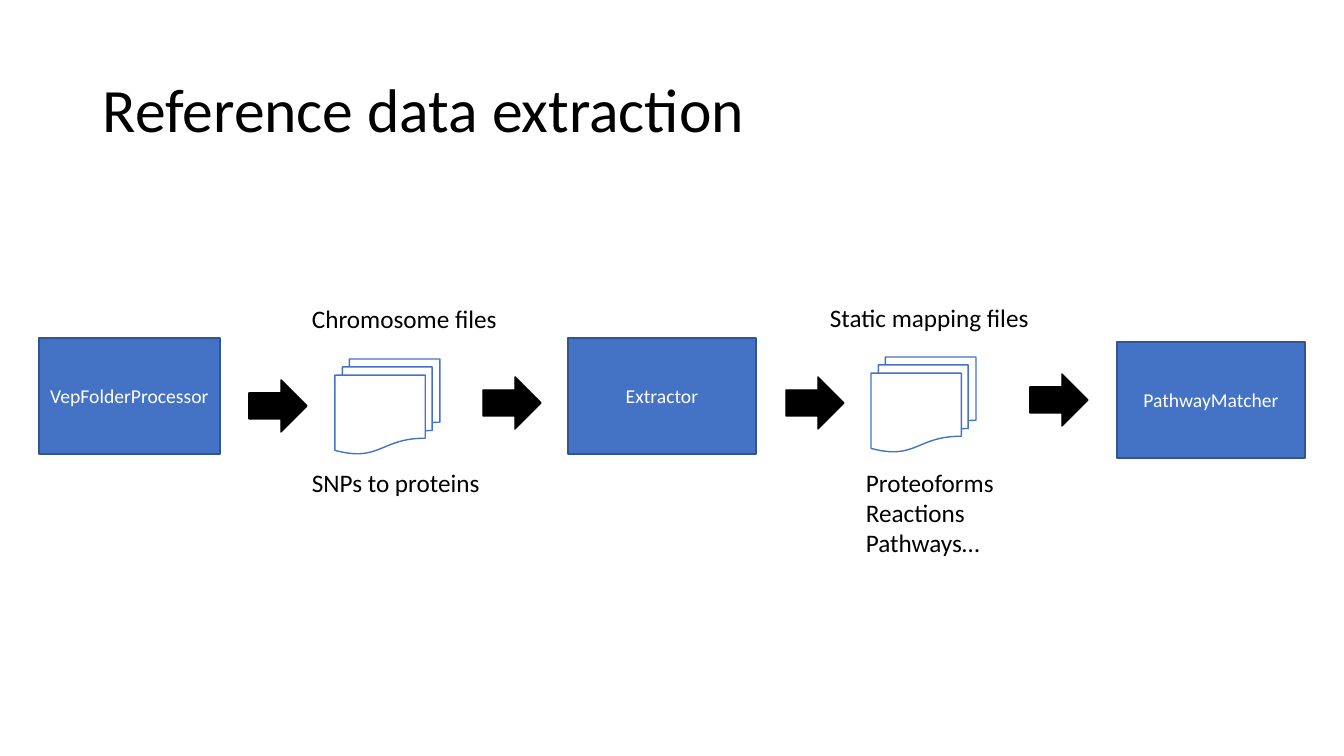
"""Build the reference data extraction pipeline slide."""
from pptx import Presentation
from pptx.dml.color import RGBColor
from pptx.enum.shapes import MSO_SHAPE as Shape
from pptx.enum.text import MSO_ANCHOR as Anchor, MSO_AUTO_SIZE as AutoSize, PP_ALIGN as Align
from pptx.util import Emu, Pt

BLACK = RGBColor(0x00, 0x00, 0x00)
WHITE = RGBColor(0xFF, 0xFF, 0xFF)
BLUE = RGBColor(0x44, 0x72, 0xC4)
DARK_BLUE = RGBColor(0x32, 0x54, 0x91)

TITLE = ("Reference data extraction", (93, 40, 1159, 146))
PROCESSES = [
    ("VepFolderProcessor", 39, 338, 181),
    ("Extractor", 568, 338, 188),
    ("PathwayMatcher", 1117, 342, 188),
]
FILE_STACKS = [(335, 359), (871, 357)]
ARROWS = [(249, 380), (483, 377), (786, 377), (1030, 374)]
LABELS = [
    (["Chromosome files"], (302, 298, 208, 40)),
    (["SNPs to proteins"], (302, 462, 190, 40)),
    (["Static mapping files"], (820, 297, 222, 40)),
    (["Proteoforms", "Reactions", "Pathways…"], (856, 462, 149, 102)),
]

PROCESS_HEIGHT = 116
STACK_SIZE = (105, 95)
ARROW_SIZE = (58, 52)
EMU_PER_PIXEL = 914400 / 100.8

LABEL_FRAME = {"word_wrap": False, "auto_size": AutoSize.SHAPE_TO_FIT_TEXT}
TITLE_FRAME = {"word_wrap": True, "vertical_anchor": Anchor.MIDDLE}
PROCESS_FRAME = {"word_wrap": True, "vertical_anchor": Anchor.MIDDLE}


def scale(pixels):
    return [Emu(round(value * EMU_PER_PIXEL)) for value in pixels]


def write(shape, lines, size, color, frame_format, paragraph_format):
    frame = shape.text_frame
    frame.text = "\n".join(lines)
    for name, value in frame_format.items():
        setattr(frame, name, value)
    for paragraph in frame.paragraphs:
        for name, value in paragraph_format.items():
            setattr(paragraph, name, value)
        for run in paragraph.runs:
            run.font.name = "Calibri"
            run.font.size = Pt(size)
            run.font.color.rgb = color


def add_filled(slide, kind, box, fill, line):
    shape = slide.shapes.add_shape(kind, *scale(box))
    shape.shadow.inherit = False
    shape.fill.solid()
    shape.fill.fore_color.rgb = fill
    shape.line.color.rgb = line
    shape.line.width = Pt(1)
    return shape


presentation = Presentation()
presentation.slide_width, presentation.slide_height = scale((1344, 756))
slide = presentation.slides.add_slide(presentation.slide_layouts[6])

title, title_box = TITLE
write(slide.shapes.add_textbox(*scale(title_box)), [title], 44, BLACK,
      TITLE_FRAME, {"line_spacing": 0.9})

for corner in FILE_STACKS:
    add_filled(slide, Shape.FLOWCHART_MULTIDOCUMENT, corner + STACK_SIZE, WHITE, BLUE)

for name, left, top, width in PROCESSES:
    process = add_filled(slide, Shape.FLOWCHART_PROCESS,
                         (left, top, width, PROCESS_HEIGHT), BLUE, DARK_BLUE)
    write(process, [name], 14, WHITE, PROCESS_FRAME, {"alignment": Align.CENTER})

for corner in ARROWS:
    add_filled(slide, Shape.RIGHT_ARROW, corner + ARROW_SIZE, BLACK, BLACK)

for lines, box in LABELS:
    write(slide.shapes.add_textbox(*scale(box)), lines, 18, BLACK, LABEL_FRAME, {})

presentation.save("out.pptx")
